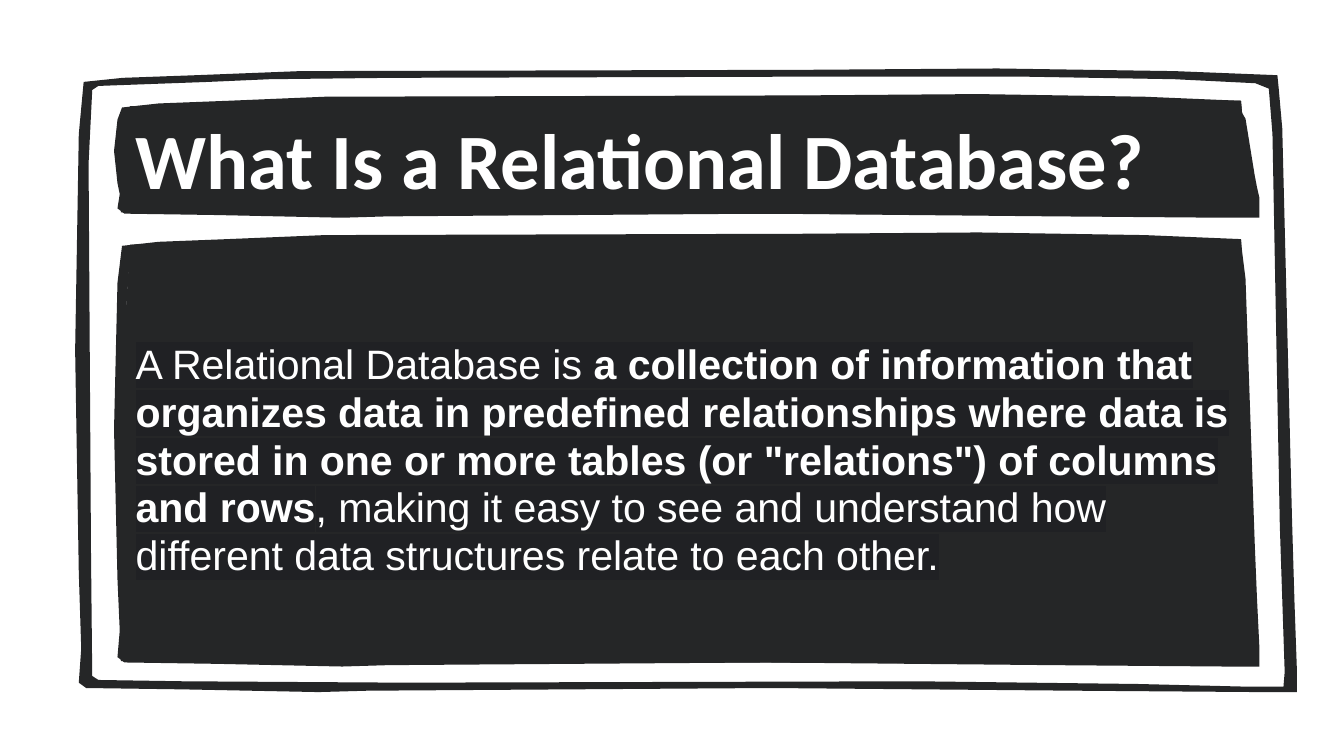
from dataclasses import dataclass

from lxml.etree import SubElement
from pptx import Presentation
from pptx.dml.color import RGBColor as RGB
from pptx.enum.text import MSO_ANCHOR as Anchor, MSO_AUTO_SIZE as AutoSize, PP_ALIGN as Align
from pptx.oxml.ns import qn
from pptx.util import Inches, Pt

SLIDE_W = 10
SLIDE_H = SLIDE_W * 9 / 16
TEXT_LEFT = 1.01


@dataclass(frozen=True)
class Theme:
    ink: str = "252627"
    text: str = "FFFFFF"
    highlight: str = "202124"
    title_font: str = "Calibri"
    body_font: str = "Arial"
    title_size: float = 42
    body_size: float = 22
    body_pitch: float = 25.6


THEME = Theme()

# Hand-drawn contours, clockwise from the top right corner. x is a percentage of
# the box width; y is ("top", inches down), ("bottom", inches up) or
# ("side", share of the height between the rounded corners).
OUTER = [
    (98.4, "top", 0.05), (98.5, "side", 0), (98.8, "side", 0.07),
    (99.6, "side", 0.74), (99.8, "side", 0.88), (100, "side", 1),
    (100, "bottom", 0.01), (97, "bottom", 0.01), (82, "bottom", 0.02),
    (57, "bottom", 0.04), (24, "bottom", 0.02), (20, "bottom", 0.01),
    (9, "bottom", 0.03), (1, "bottom", 0.04), (0.4, "bottom", 0.08),
    (0.6, "side", 0.96), (0.4, "side", 0.83), (0.1, "side", 0.45),
    (0.4, "side", 0.08), (0.8, "top", 0.1), (4, "top", 0.07),
    (10, "top", 0.05), (18.5, "top", 0.02), (60, "top", 0.01),
    (75.5, "top", 0), (90, "top", 0.02),
]
INNER = [
    (98, "side", 0.08), (98.6, "side", 0.75), (99, "side", 1),
    (98.9, "bottom", 0.05), (96, "bottom", 0.05), (87, "bottom", 0.07),
    (69, "bottom", 0.09), (27, "bottom", 0.08), (9, "bottom", 0.09),
    (2, "bottom", 0.1), (1.5, "bottom", 0.13), (1.4, "side", 0.8),
    (1.2, "side", 0.13), (1.5, "top", 0.16), (2, "top", 0.13),
    (11, "top", 0.1), (16, "top", 0.08), (26, "top", 0.07),
    (64, "top", 0.06), (77, "top", 0.06), (90, "top", 0.08),
    (96.6, "top", 0.11), (97.7, "top", 0.15),
]
FILLING = [
    (99.3, "bottom", 0.03), (0.7, "bottom", 0.05), (0.7, "side", 0.35),
    (1.5, "top", 0.09), (50, "top", 0.04), (98.4, "top", 0.05),
]


def place(contour, box):
    """Turn contour points into lengths on the slide."""
    left, top, width, height = box
    heights = {
        "top": lambda v: top + v,
        "bottom": lambda v: top + height - v,
        "side": lambda v: top + 0.14 + v * (height - 0.3),
    }
    return [(Inches(left + x / 100 * width), Inches(heights[edge](v)))
            for x, edge, v in contour]


def add_outline(shapes, box, *contours):
    """Draw one filled freeform; a second contour cuts a hole."""
    first, *holes = [place(contour, box) for contour in contours]
    builder = shapes.build_freeform(*first[0])
    builder.add_line_segments(first[1:])
    for hole in holes:
        builder.move_to(*hole[0])
        builder.add_line_segments(hole[1:])
    outline = builder.convert_to_shape()
    outline.shadow.inherit = False
    outline.fill.solid()
    outline.fill.fore_color.rgb = RGB.from_string(THEME.ink)
    outline.line.fill.background()


def add_panel(shapes, box):
    """A dark filling with a rough edge."""
    add_outline(shapes, box, FILLING)
    add_outline(shapes, box, OUTER, INNER)


def write(frame, pieces, *, font, size, spacing, highlight=None, top=0):
    """Write (text, bold) pieces as one left-aligned paragraph."""
    frame.word_wrap = True
    frame.auto_size = AutoSize.NONE
    frame.vertical_anchor = Anchor.TOP
    frame.margin_left = frame.margin_right = frame.margin_bottom = 0
    frame.margin_top = Inches(top)
    paragraph = frame.paragraphs[0]
    paragraph.alignment = Align.LEFT
    paragraph.line_spacing = spacing
    paragraph.space_before = Pt(0)
    for text, bold in pieces:
        run = paragraph.add_run()
        run.text = text
        run.font.size = Pt(size)
        run.font.bold = bold
        run.font.color.rgb = RGB.from_string(THEME.text)
        if highlight:
            mark = SubElement(run.font._element, qn("a:highlight"))
            SubElement(mark, qn("a:srgbClr"), val=highlight)
        run.font.name = font


def add_title(slide, text):
    title = slide.shapes.title
    title.left, title.top = Inches(TEXT_LEFT), Inches(0.96)
    title.width, title.height = Inches(8.11), Inches(0.57)
    write(title.text_frame, [(text, True)], font=THEME.title_font,
          size=THEME.title_size, spacing=0.8)
    # Bring the title in front of its panel
    slide.shapes._spTree.append(title._element)


def add_definition(slide, pieces):
    box = [Inches(v) for v in (TEXT_LEFT, 2.17, 8.2, 2.51)]
    write(slide.shapes.add_textbox(*box).text_frame, pieces, font=THEME.body_font,
          size=THEME.body_size, spacing=Pt(THEME.body_pitch),
          highlight=THEME.highlight, top=0.36)


def main():
    deck = Presentation()
    deck.slide_width, deck.slide_height = Inches(SLIDE_W), Inches(SLIDE_H)
    slide = deck.slides.add_slide(deck.slide_layouts[5])

    # Sketched frame with a body panel and a title panel
    sketch = slide.shapes.add_group_shape().shapes
    add_outline(sketch, (0.55, 0.51, 9.1, 4.65), OUTER, INNER)
    add_panel(sketch, (0.84, 1.73, 8.53, 3.24))
    add_panel(sketch, (0.84, 0.7, 8.53, 0.93))

    # Wording
    add_title(slide, "What Is a Relational Database?")
    add_definition(slide, [
        ("A Relational Database is ", False),
        ("a collection of information that organizes data in predefined "
         "relationships where data is stored in one or more tables "
         "(or \"relations\") of columns and rows", True),
        (", making it easy to see and understand how different data "
         "structures relate to each other.", False),
    ])
    deck.save("out.pptx")


if __name__ == "__main__":
    main()
